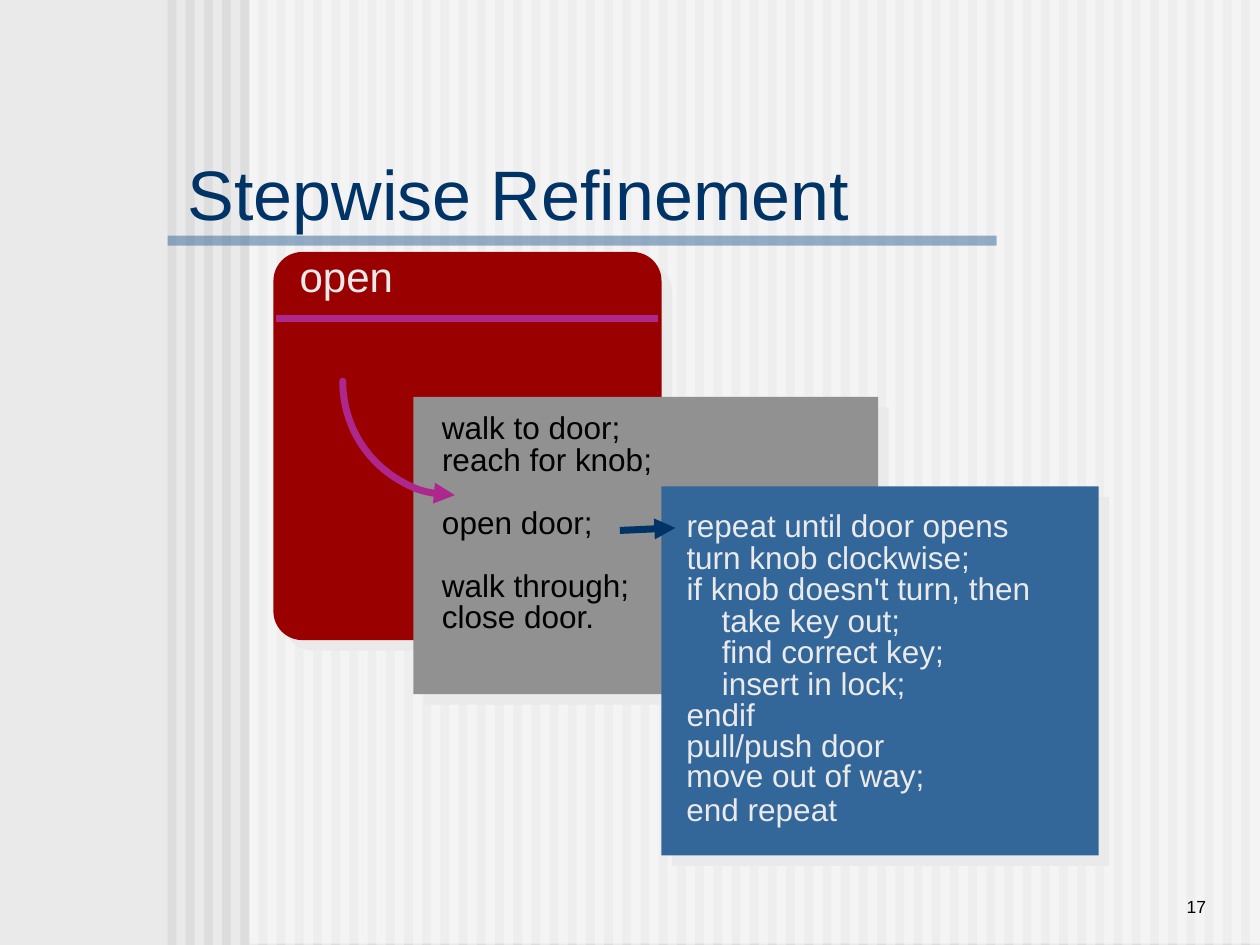
import lxml.etree
import pptx
import pptx.dml.color
import pptx.enum.shapes
import pptx.enum.text
import pptx.oxml.ns
import pptx.util

Inches = pptx.util.Inches
SHAPE = pptx.enum.shapes.MSO_SHAPE
ALIGN = pptx.enum.text.PP_ALIGN
ANCHOR = pptx.enum.text.MSO_ANCHOR

COLORS = {
    "paper": "EAEAEA", "stripe": "DDDDDD", "white": "FFFFFF", "navy": "003366",
    "blue": "336699", "red": "9A0000", "gray": "919191", "purple": "AD278D",
    "black": "000000",
}
ROW_PITCH = 0.25
INDENT = 0.28

# Each step: row, box width, lines, indent level
DOOR_STEPS = [
    (0, 1.7, ["walk to door;"], 0),
    (1, 1.95, ["reach for knob;"], 0),
    (3, 1.5, ["open door;"], 0),
    (5, 1.8, ["walk through;"], 0),
    (6, 1.5, ["close door."], 0),
]
KNOB_STEPS = [
    (0, 2.85, ["repeat until door opens"], 0),
    (1, 2.55, ["turn knob clockwise;"], 0),
    (2, 3.05, ["if knob doesn't turn, then"], 0),
    (3, 2, ["take key out;"], 1),
    (4, 2.35, ["find correct key;"], 1),
    (5, 2.05, ["insert in lock;"], 1),
    (6, 0.85, ["endif"], 0),
    (7.2, 2.2, ["pull/push door", "move out of way;"], 0),
    (9, 1.5, ["end repeat"], 0),
]


def rgb(color):
    """Return the named colour as an RGBColor."""
    return pptx.dml.color.RGBColor.from_string(COLORS[color])


def add_xml(parent, tag, **attributes):
    """Append a DrawingML child element and return it."""
    child = lxml.etree.SubElement(parent, pptx.oxml.ns.qn(tag))
    for key, value in attributes.items():
        child.set(key, str(value))
    return child


def add_block(shapes, box, color, kind=SHAPE.RECTANGLE, alpha=None):
    """Add a filled shape without outline, optionally see-through."""
    block = shapes.add_shape(kind, *map(Inches, box))
    block.shadow.inherit = False
    block.fill.solid()
    block.fill.fore_color.rgb = rgb(color)
    block.line.fill.background()
    if alpha is not None:
        fill_color = block.element.spPr.find(".//" + pptx.oxml.ns.qn("a:srgbClr"))
        add_xml(fill_color, "a:alpha", val=alpha * 1000)
    return block


def add_panel(shapes, box, color, kind=SHAPE.RECTANGLE):
    """Add a block that casts a pale shadow to the lower right."""
    panel = add_block(shapes, box, color, kind)
    effects = panel.element.spPr.find(pptx.oxml.ns.qn("a:effectLst"))
    shadow = add_xml(effects, "a:outerShdw", dist=pptx.util.Pt(8.5), dir=45 * 60000,
                     algn="ctr", rotWithShape=0)
    add_xml(shadow, "a:srgbClr", val=COLORS["paper"])
    return panel


def style_line(stroke, color, arrow=None, cap="flat"):
    """Colour a 4 pt stroke and put an arrowhead on the given end."""
    stroke.line.color.rgb = rgb(color)
    stroke.line.width = pptx.util.Pt(4)
    outline = stroke.element.spPr.find(pptx.oxml.ns.qn("a:ln"))
    outline.set("cap", cap)
    if arrow:
        add_xml(outline, arrow, type="triangle")


def add_line(shapes, start, end, color, arrow=None):
    """Add a straight line between two points."""
    line = shapes.add_connector(pptx.enum.shapes.MSO_CONNECTOR.STRAIGHT,
                                *map(Inches, start + end))
    style_line(line, color, arrow)
    add_xml(line.element.spPr, "a:effectLst")


def add_curved_arrow(shapes, box, color):
    """Add a quarter arc from the left side down to an arrowhead."""
    arc = shapes.add_shape(SHAPE.ARC, *map(Inches, box))
    arc.shadow.inherit = False
    arc.fill.background()
    # Angles in 60000ths of a degree, as normalised adjustments
    arc.adjustments[0] = 90 * 0.6
    arc.adjustments[1] = 180 * 0.6
    style_line(arc, color, "a:headEnd", "rnd")


def write(frame, lines, size, color, align=ALIGN.LEFT, spacing=None, indent=0):
    """Fill a text frame with one paragraph per line."""
    for number, line in enumerate(lines):
        paragraph = frame.add_paragraph() if number else frame.paragraphs[0]
        paragraph.alignment = align
        if spacing:
            paragraph.line_spacing = spacing
        if indent:
            properties = paragraph._p.get_or_add_pPr()
            properties.set("marL", str(Inches(indent)))
            properties.set("indent", "0")
        run = paragraph.add_run()
        run.text = line
        run.font.name = "Arial"
        run.font.size = pptx.util.Pt(size)
        run.font.color.rgb = rgb(color)


def add_label(shapes, box, lines, size, color, anchor=ANCHOR.TOP, **layout):
    """Add a text box."""
    frame = shapes.add_textbox(*map(Inches, box)).text_frame
    frame.word_wrap = True
    frame.vertical_anchor = anchor
    write(frame, lines, size, color, **layout)


def add_steps(shapes, left, top, steps, color):
    """Add pseudocode steps on a grid of rows."""
    for row, width, lines, level in steps:
        several = len(lines) > 1
        box = (left, top + row * ROW_PITCH, width, 0.85 if several else 0.4)
        add_label(shapes, box, lines, 18, color,
                  spacing=0.8 if several else None, indent=level * INDENT)


def add_backdrop(slide):
    """Add the striped background and the bar under the title."""
    slide.background.fill.solid()
    slide.background.fill.fore_color.rgb = rgb("paper")
    backdrop = slide.shapes.add_group_shape().shapes
    for number in range(60):
        add_block(backdrop, (1.33 + number * 0.1444, 0, 0.07, 7.5), "stripe")
    add_block(backdrop, (1.98, 0, 8.02, 7.49), "white", alpha=50)
    add_block(backdrop, (1.33, 1.87, 6.58, 0.08), "blue", alpha=50)


def add_title(slide, text):
    """Place the title above the backdrop."""
    title = slide.shapes.title
    slide.shapes.element.append(title.element)
    title.left, title.top, title.width, title.height = map(
        Inches, (1.42, 1.17, 5.39, 0.72))
    frame = title.text_frame
    frame.auto_size = pptx.enum.text.MSO_AUTO_SIZE.NONE
    frame.vertical_anchor = ANCHOR.BOTTOM
    frame.margin_left = frame.margin_right = Inches(0.07)
    frame.margin_top = frame.margin_bottom = Inches(0.03)
    write(frame, [text], 40, "navy")


def main():
    """Build the slide and save it."""
    deck = pptx.Presentation()
    deck.slide_width, deck.slide_height = Inches(10), Inches(7.5)
    slide = deck.slides.add_slide(deck.slide_layouts[5])
    shapes = slide.shapes
    add_backdrop(slide)
    add_title(slide, "Stepwise Refinement")

    open_card = add_panel(shapes, (2.17, 2, 3.08, 3.08), "red",
                          SHAPE.ROUNDED_RECTANGLE)
    open_card.adjustments[0] = 0.074
    add_line(shapes, (2.19, 2.53), (5.22, 2.53), "purple")
    add_label(shapes, (2.28, 1.94, 1.05, 0.5), ["open"], 24, "paper")

    add_panel(shapes, (3.28, 3.15, 3.69, 2.36), "gray")
    add_steps(shapes, 3.41, 3.19, DOOR_STEPS, "black")

    add_panel(shapes, (5.25, 3.86, 3.47, 2.93), "blue")
    add_steps(shapes, 5.35, 3.97, KNOB_STEPS, "paper")

    add_line(shapes, (4.92, 4.21), (5.36, 4.19), "navy", "a:tailEnd")
    add_curved_arrow(shapes, (2.72, 2.12, 1.78, 1.81), "purple")
    add_label(shapes, (8.25, 6.83, 1.42, 0.5), ["17"], 10, "black",
              ANCHOR.BOTTOM, align=ALIGN.RIGHT)
    deck.save("out.pptx")


main()
